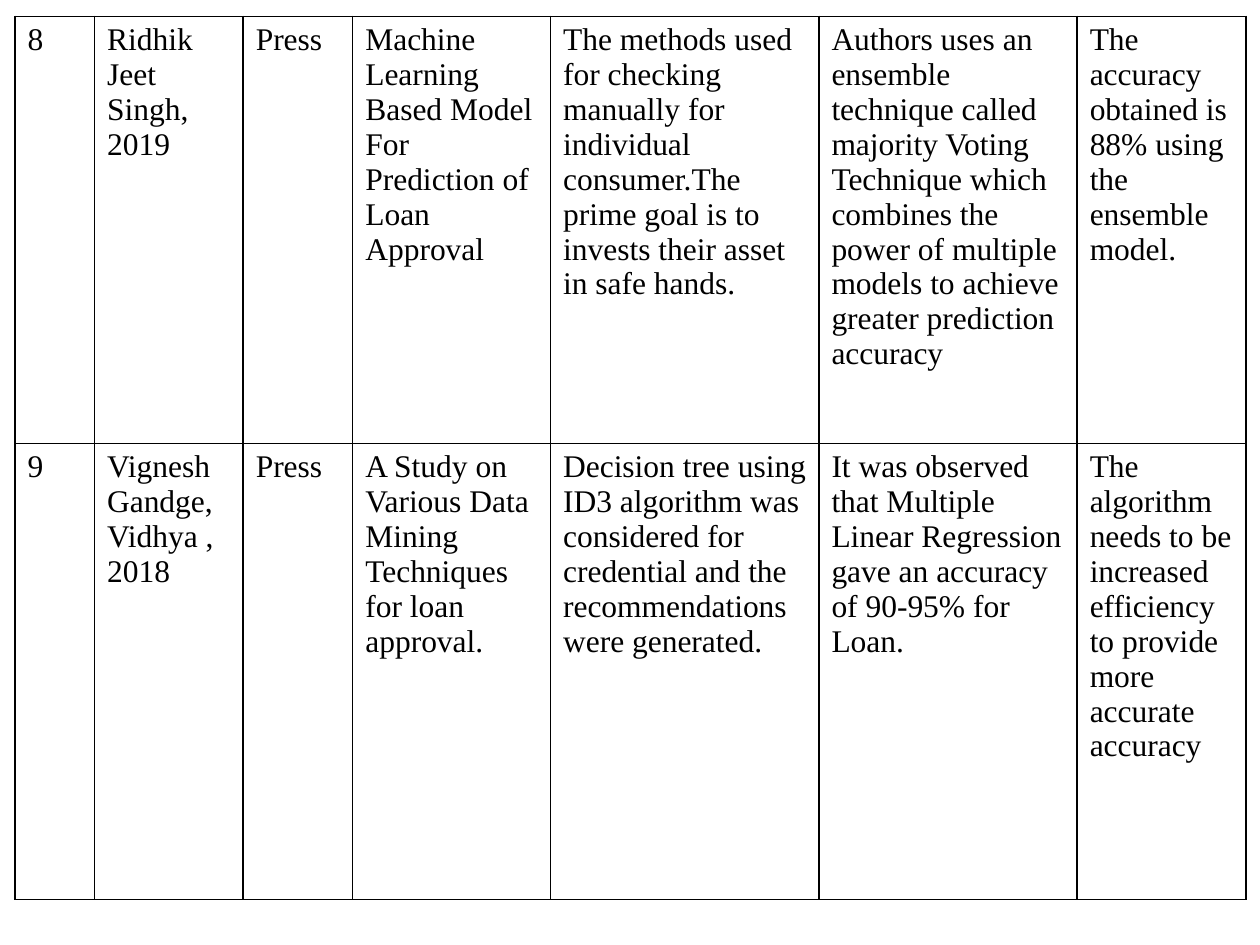
import pptx
import pptx.util
import pptx.dml.color
import pptx.oxml.ns
import lxml.etree

INCH = pptx.util.Inches
HUES = {"ink": "000000", "page": "FFFFFF"}
COLS = [0.63, 1.18, 0.87, 1.57, 2.13, 2.05, 1.34]
ROWS = [3.39, 3.62]
LEFT, TOP = 0.12, 0.13

# A newline starts a paragraph, a vertical tab breaks a line.
PAPERS = [
    ["8", "Ridhik Jeet Singh,\n2019", "Press",
     "Machine Learning Based Model For Prediction of Loan Approval",
     "The methods used for checking manually for individual consumer.The "
     "prime goal is to invests their asset in safe hands.",
     "Authors uses an ensemble technique called majority Voting Technique "
     "which combines the power of multiple models to achieve greater "
     "prediction accuracy",
     "The accuracy obtained is 88% using the ensemble model."],
    ["9", "Vignesh\vGandge,\vVidhya , 2018", "Press",
     "A Study on Various Data Mining Techniques for loan approval.",
     "Decision tree using ID3 algorithm was considered for credential and "
     "the recommendations were generated.",
     "It was observed that Multiple Linear Regression gave an accuracy of "
     "90-95% for Loan.",
     "The algorithm needs to be increased efficiency to provide more "
     "accurate accuracy"],
]


def write(frame, text, size=18, font="Times New Roman", hue="ink"):
    """Put text in a frame and format all its runs."""
    frame.text = text
    for para in frame.paragraphs:
        for run in para.runs:
            run.font.size = pptx.util.Pt(size)
            run.font.name = font
            run.font.color.rgb = pptx.dml.color.RGBColor.from_string(HUES[hue])


def frame_cell(cell, width=1, hue="ink"):
    """Draw a solid line on the four sides of a cell."""
    qn = pptx.oxml.ns.qn
    props = cell._tc.get_or_add_tcPr()
    for spot, side in enumerate(["a:lnL", "a:lnR", "a:lnT", "a:lnB"]):
        line = lxml.etree.Element(qn(side), w=str(pptx.util.Pt(width)))
        fill = lxml.etree.SubElement(line, qn("a:solidFill"))
        lxml.etree.SubElement(fill, qn("a:srgbClr"), val=HUES[hue])
        props.insert(spot, line)


deck = pptx.Presentation()
deck.slide_width, deck.slide_height = INCH(10), INCH(7.5)
slide = deck.slides.add_slide(deck.slide_layouts[6])

table = slide.shapes.add_table(
    len(ROWS), len(COLS), INCH(LEFT), INCH(TOP),
    INCH(sum(COLS)), INCH(sum(ROWS))).table
table.first_row = table.horz_banding = False
for col, width in zip(table.columns, COLS):
    col.width = INCH(width)

for row, height, paper in zip(table.rows, ROWS, PAPERS):
    row.height = INCH(height)
    for cell, text in zip(row.cells, paper):
        write(cell.text_frame, text)
        cell.fill.solid()
        cell.fill.fore_color.rgb = pptx.dml.color.RGBColor.from_string(
            HUES["page"])
        frame_cell(cell)

deck.save("out.pptx")
